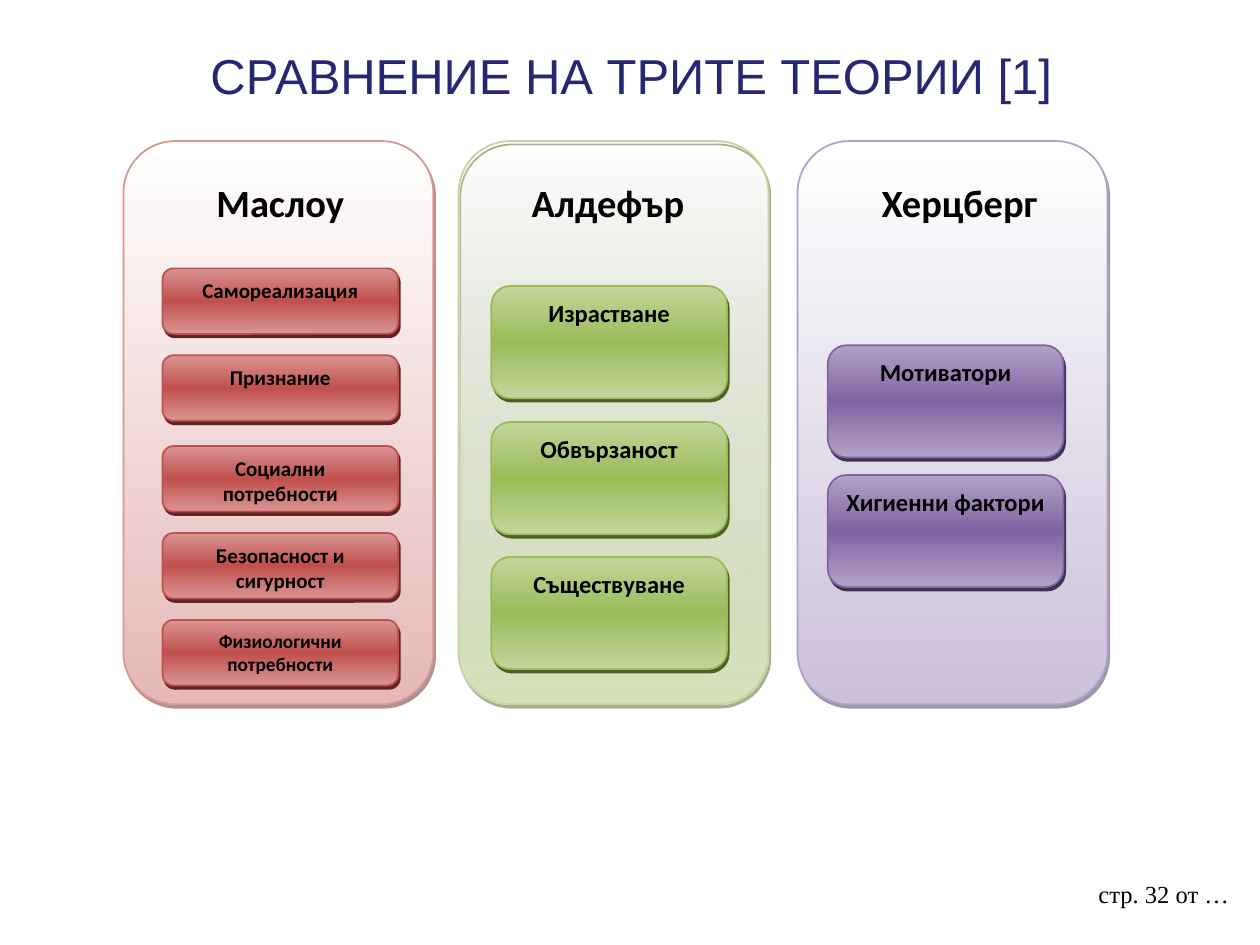
from dataclasses import dataclass

from lxml import etree
from pptx import Presentation
from pptx.dml.color import RGBColor
from pptx.enum.shapes import MSO_SHAPE
from pptx.enum.text import MSO_ANCHOR, PP_ALIGN
from pptx.oxml.ns import qn
from pptx.util import Inches, Pt

ROUNDED = MSO_SHAPE.ROUNDED_RECTANGLE
TOP, MIDDLE = MSO_ANCHOR.TOP, MSO_ANCHOR.MIDDLE
LEFT, CENTER = PP_ALIGN.LEFT, PP_ALIGN.CENTER

COLORS = {
    "title": "262673", "text": "000000", "white": "FFFFFF",
    "red": "C0504D", "red_mid": "D99594", "red_pale": "E5B8B7", "red_dark": "622423",
    "green": "9BBB59", "green_mid": "C2D69B", "green_pale": "D6E3BC", "green_dark": "4E6128",
    "purple": "8064A2", "purple_mid": "B2A1C7", "purple_pale": "CCC0D9", "purple_dark": "3F3151",
}
PANEL_TOP, PANEL_WIDTH, PANEL_HEIGHT = 1.12, 2.46, 4.47
HEADING_TOP, HEADING_HEIGHT = 1.37, 0.6
BOX_WIDTH = 1.87


@dataclass
class Need:
    label: str
    top: float
    size: int = 14


@dataclass
class Theory:
    author: str
    hue: str
    panel_left: float
    heading_left: float
    box_left: float
    box_height: float
    needs: list[Need]
    top_alpha: int = 100


THEORIES = [
    Theory("Маслоу", "red", 0.98, 1.29, 1.29, 0.52, [
        Need("Самореализация", 2.13, 12),
        Need("Признание", 2.82, 12),
        Need("Социални потребности", 3.54, 12),
        Need("Безопасност и сигурност", 4.23, 12),
        Need("Физиологични потребности", 4.92, 11),
    ]),
    Theory("Алдефър", "green", 3.64, 3.89, 3.9, 0.89, [
        Need("Израстване", 2.27),
        Need("Обвързаност", 3.35),
        Need("Съществуване", 4.42),
    ], top_alpha=0),
    Theory("Херцберг", "purple", 6.33, 6.68, 6.57, 0.89, [
        Need("Мотиватори", 2.74),
        Need("Хигиенни фактори", 3.77),
    ]),
]


def add_color(parent, color: str, alpha: int = 100) -> None:
    node = etree.SubElement(parent, qn("a:srgbClr"), val=COLORS[color])
    if alpha < 100:
        etree.SubElement(node, qn("a:alpha"), val=str(alpha * 1000))


def write(shape, text: str, size: int, font: str = "Calibri", color: str = "text",
          bold: bool = True, align=CENTER, anchor=TOP) -> None:
    frame = shape.text_frame
    frame.text = text
    frame.word_wrap = True
    frame.vertical_anchor = anchor
    paragraph = frame.paragraphs[0]
    paragraph.alignment = align
    run_font = paragraph.runs[0].font
    run_font.name, run_font.size, run_font.bold = font, Pt(size), bold
    run_font.color.rgb = RGBColor.from_string(COLORS[color])


def add_card(slide, left: float, top: float, width: float, height: float,
             stops: list[tuple[int, str, int]], outline: str,
             shadow: str, shadow_alpha: int):
    card = slide.shapes.add_shape(ROUNDED, Inches(left), Inches(top),
                                  Inches(width), Inches(height))
    card.fill.gradient()
    card.fill.gradient_angle = 270
    properties = card.element.spPr
    stop_list = properties.find(".//" + qn("a:gsLst"))
    for old_stop in list(stop_list):
        stop_list.remove(old_stop)
    for position, color, alpha in stops:
        stop = etree.SubElement(stop_list, qn("a:gs"), pos=str(position * 1000))
        add_color(stop, color, alpha)
    card.line.color.rgb = RGBColor.from_string(COLORS[outline])
    card.line.width = Pt(1)
    card.shadow.inherit = False
    outer = etree.SubElement(properties.find(qn("a:effectLst")), qn("a:outerShdw"),
                             dist=str(Pt(2.2)), dir=str(63 * 60000),
                             algn="ctr", rotWithShape="0")
    add_color(outer, shadow, shadow_alpha)
    return card


def add_label(slide, left: float, top: float, width: float, height: float):
    return slide.shapes.add_textbox(Inches(left), Inches(top), Inches(width), Inches(height))


def draw_theory(slide, theory: Theory) -> None:
    hue = theory.hue
    middle, pale, dark = f"{hue}_mid", f"{hue}_pale", f"{hue}_dark"
    add_card(slide, theory.panel_left, PANEL_TOP, PANEL_WIDTH, PANEL_HEIGHT,
             [(0, "white", theory.top_alpha), (100, pale, 100)], middle, dark, 50)
    heading = add_label(slide, theory.heading_left, HEADING_TOP, BOX_WIDTH, HEADING_HEIGHT)
    write(heading, theory.author, 22)
    for need in theory.needs:
        box = add_card(slide, theory.box_left, need.top, BOX_WIDTH, theory.box_height,
                       [(0, middle, 100), (50, hue, 100), (100, middle, 100)], hue, dark, 100)
        write(box, need.label, need.size)


def main() -> None:
    deck = Presentation()
    deck.slide_width, deck.slide_height = Inches(10), Inches(7.5)
    slide = deck.slides.add_slide(deck.slide_layouts[5])

    title = slide.shapes.title
    title.left, title.top = Inches(0.51), Inches(0.28)
    title.width, title.height = Inches(9), Inches(0.63)
    write(title, "СРАВНЕНИЕ НА ТРИТЕ ТЕОРИИ [1]", 28, "Arial", "title", False, anchor=MIDDLE)

    for theory in THEORIES:
        draw_theory(slide, theory)

    page_number = add_label(slide, 8.62, 6.93, 1.3, 0.52)
    write(page_number, "стр. 32 от …", 14, "Times New Roman", bold=False, align=LEFT)

    deck.save("out.pptx")


if __name__ == "__main__":
    main()
